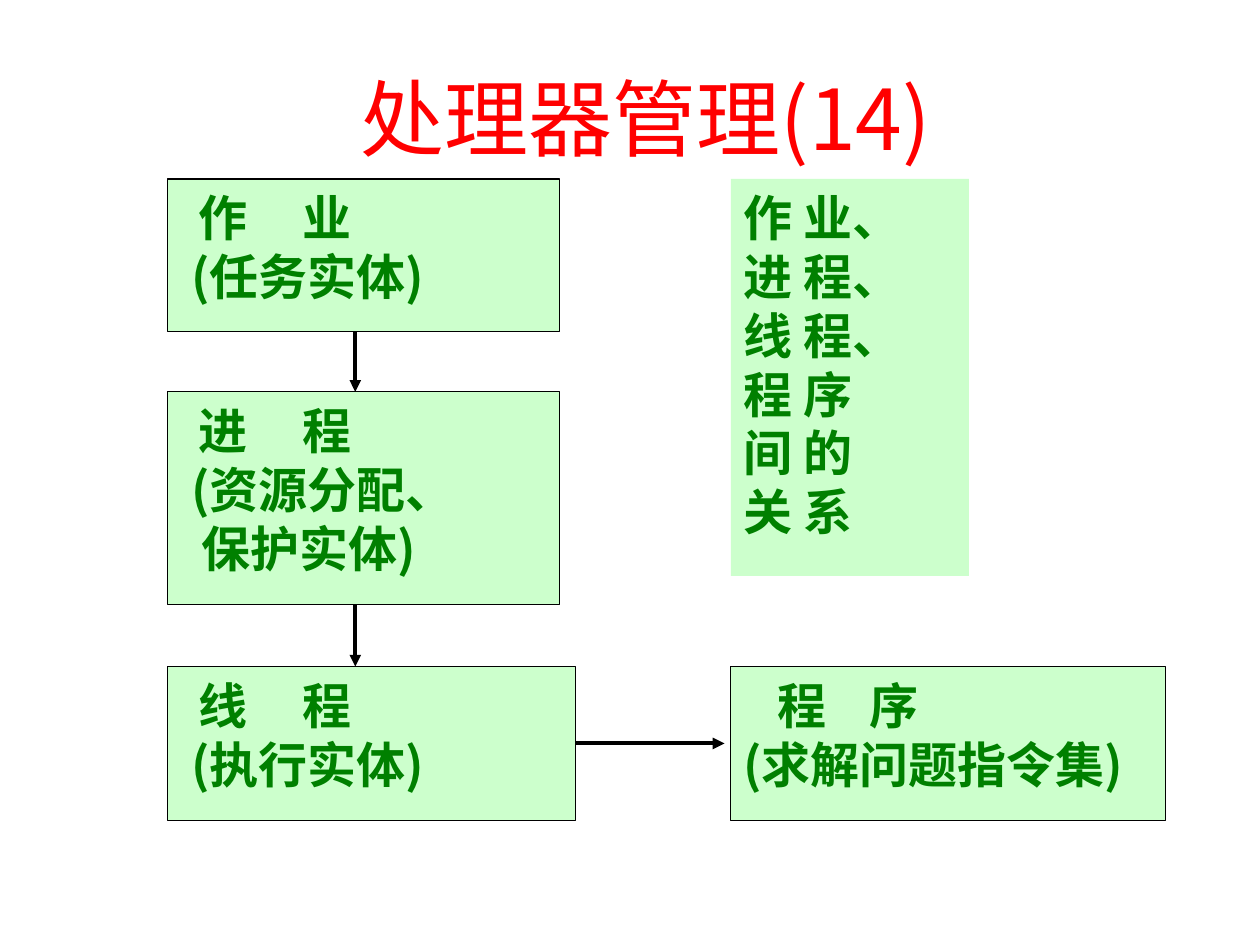
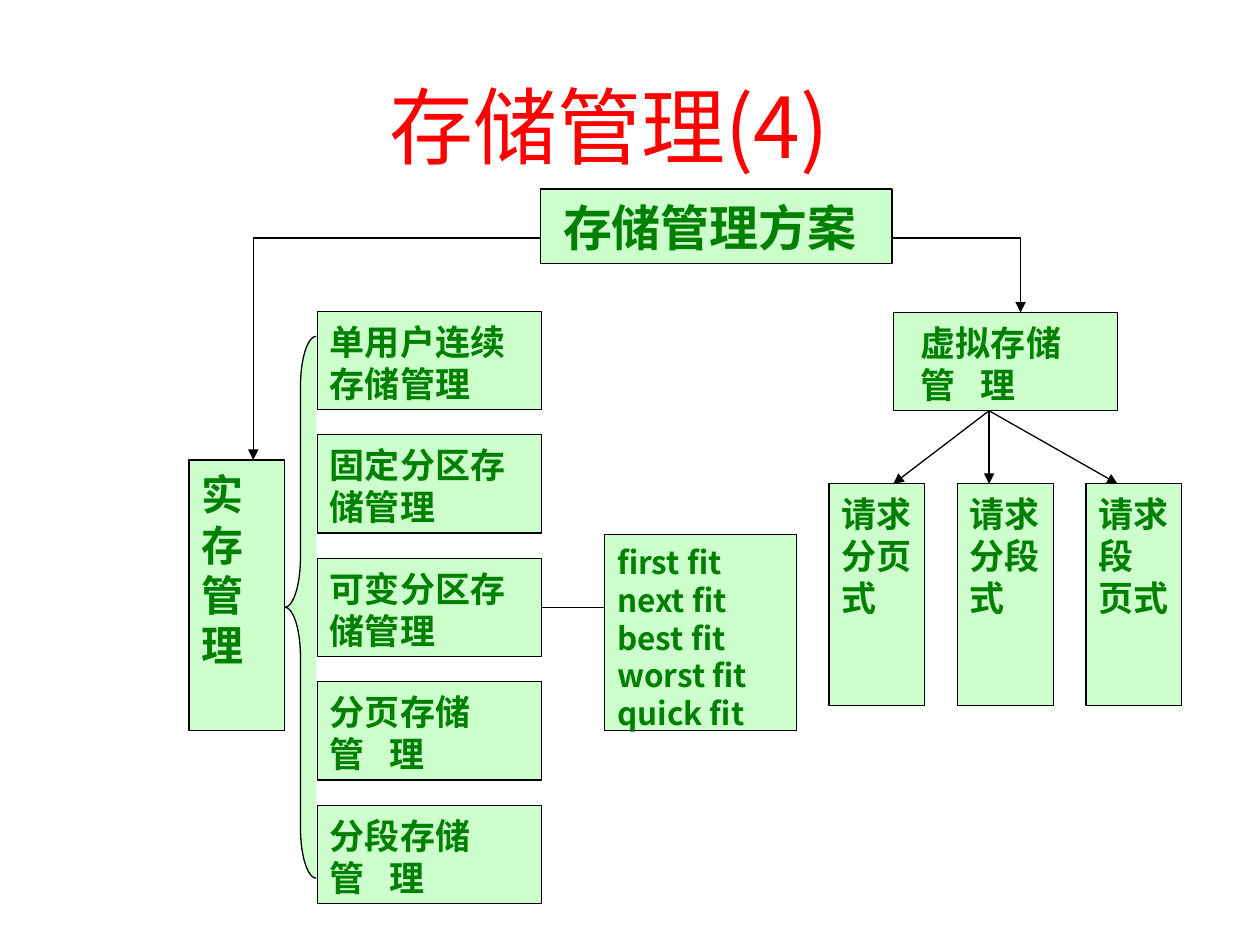
from lxml import etree
from pptx import Presentation
from pptx.dml.color import RGBColor
from pptx.enum.shapes import MSO_CONNECTOR, MSO_SHAPE
from pptx.enum.text import MSO_ANCHOR, MSO_AUTO_SIZE, PP_ALIGN
from pptx.oxml.ns import qn
from pptx.util import Inches, Pt

RED = RGBColor(0xFF, 0x00, 0x00)
GREEN = RGBColor(0x00, 0x80, 0x00)
PALE_GREEN = RGBColor(0xCC, 0xFF, 0xCC)
BLACK = RGBColor(0x00, 0x00, 0x00)
FONT = "Noto Sans CJK SC"
TITLE_ONLY = 5
RECTANGLE, LEFT_BRACE = MSO_SHAPE.RECTANGLE, MSO_SHAPE.LEFT_BRACE
STRAIGHT = MSO_CONNECTOR.STRAIGHT
TOP, MIDDLE = MSO_ANCHOR.TOP, MSO_ANCHOR.MIDDLE
LEFT, CENTER = PP_ALIGN.LEFT, PP_ALIGN.CENTER
NO_AUTOFIT = MSO_AUTO_SIZE.NONE
RIGHT_SIDE = 3
LINE_HEIGHT = 1.2


def write(frame, lines, size, color=GREEN, bold=True, align=LEFT, anchor=TOP, spacing=None):
    """Fill a frame; a line is text, or a tuple of text and its tab stops in inches."""
    frame.word_wrap = True
    frame.auto_size = NO_AUTOFIT
    frame.vertical_anchor = anchor
    for index, line in enumerate(lines):
        text, *stops = (line,) if isinstance(line, str) else line
        paragraph = frame.add_paragraph() if index else frame.paragraphs[0]
        paragraph.alignment = align
        if spacing:
            paragraph.line_spacing = Pt(size * spacing)
        if stops:
            tab_list = etree.SubElement(paragraph._p.get_or_add_pPr(), qn("a:tabLst"))
            for stop in stops:
                etree.SubElement(tab_list, qn("a:tab"), pos=str(Inches(stop)), algn="l")
        run = paragraph.add_run()
        run.text = text
        font = run.font
        font.size, font.bold, font.name = Pt(size), bold, FONT
        font.color.rgb = color
        etree.SubElement(run._r.get_or_add_rPr(), qn("a:ea"), typeface=FONT)


class Deck:
    def __init__(self):
        self.presentation = Presentation()
        self.presentation.slide_width = Inches(10)
        self.presentation.slide_height = Inches(7.5)
        self.slide = None

    def add_slide(self, title, left, top, width):
        layout = self.presentation.slide_layouts[TITLE_ONLY]
        self.slide = self.presentation.slides.add_slide(layout)
        shape = self.slide.shapes.title
        shape.left, shape.top = Inches(left), Inches(top)
        shape.width, shape.height = Inches(width), Inches(0.83)
        write(shape.text_frame, [title], 48, color=RED, bold=False, align=CENTER, anchor=MIDDLE)

    def shape(self, kind, left, top, width, height, outlined=True):
        shape = self.slide.shapes.add_shape(
            kind, Inches(left), Inches(top), Inches(width), Inches(height))
        shape.shadow.inherit = False
        shape.fill.solid()
        shape.fill.fore_color.rgb = PALE_GREEN
        if outlined:
            shape.line.color.rgb = BLACK
            shape.line.width = Pt(0.75)
        else:
            shape.line.fill.background()
        return shape

    def box(self, lines, left, top, width, height, size=20, outlined=True):
        shape = self.shape(RECTANGLE, left, top, width, height, outlined)
        shape.text_frame.margin_top = Inches(0.07)
        write(shape.text_frame, lines, size, spacing=LINE_HEIGHT)
        return shape

    def line(self, start, end, width=0.75, arrow=True, source=None):
        """Draw a line; a source box joins its start to the middle of the right side."""
        connector = self.slide.shapes.add_connector(STRAIGHT, *map(Inches, start + end))
        if source is not None:
            connector.begin_connect(source, RIGHT_SIDE)
        connector.line.color.rgb = BLACK
        connector.line.width = Pt(width)
        if arrow:
            etree.SubElement(connector.line._get_or_add_ln(), qn("a:tailEnd"), type="triangle")
        etree.SubElement(connector._element.spPr, qn("a:effectLst"))


def add_processor_slide(deck):
    deck.add_slide("处理器管理(14)", 1, 0.51, 8.25)
    name_stops = (0.15, 0.97)
    deck.box([("\t作\t业", *name_stops), ("\t(任务实体)", 0.09)],
             1.33, 1.42, 3.11, 1.21, size=28)
    deck.box([("\t进\t程", *name_stops), ("\t(资源分配、", 0.09), ("\t保护实体)", 0.17)],
             1.33, 3.11, 3.11, 1.69, size=28)
    thread = deck.box([("\t线\t程", *name_stops), ("\t(执行实体)", 0.09)],
                      1.33, 5.29, 3.24, 1.22, size=28)
    deck.box([("\t程\t序", 0.27, 1), "(求解问题指令集)"], 5.8, 5.29, 3.45, 1.22, size=28)
    deck.box(["作 业、", "进 程、", "线 程、", "程 序", "间 的", "关 系"],
             5.8, 1.42, 1.89, 3.15, size=28, outlined=False)
    for top, bottom in ((2.63, 3.11), (4.8, 5.29)):
        deck.line((2.82, top), (2.82, bottom), width=2.25)
    deck.line((4.57, 5.9), (5.75, 5.9), width=2.25, source=thread)


def add_storage_slide(deck):
    deck.add_slide("存储管理(4)", 0.67, 0.58, 8.33)
    deck.box([("\t存储管理方案", 0.08)], 4.29, 1.5, 2.79, 0.59, size=28)
    deck.box(["实", "存", "管", "理"], 1.5, 3.65, 0.76, 2.15, size=24)

    real_schemes = (
        ["单用户连续存储管理"],
        ["固定分区存储管理"],
        ["可变分区存储管理"],
        ["分页存储", ("管\t理", 0.47)],
        ["分段存储", ("管\t理", 0.47)],
    )
    scheme_boxes = [deck.box(lines, 2.52, 2.47 + 0.98 * row, 1.78, 0.78)
                    for row, lines in enumerate(real_schemes)]
    deck.box([f"{name} fit" for name in ("first", "next", "best", "worst", "quick")],
             4.8, 4.24, 1.52, 1.56, size=18)
    deck.line((4.3, 4.82), (4.8, 4.82), arrow=False, source=scheme_boxes[2])

    deck.box([("\t虚拟存储", 0.12), ("\t管\t理", 0.12, 0.59)], 7.09, 2.48, 1.78, 0.78)
    for column, lines in enumerate((["请求分页式"], ["请求分段式"], ["请求段", "页式"])):
        deck.box(lines, 6.58 + 1.02 * column, 3.84, 0.76, 1.76)
    for target in (7.09, 7.85, 8.87):
        deck.line((7.85, 3.26), (target, 3.84))

    brace = deck.shape(LEFT_BRACE, 2.26, 2.67, 0.25, 4.3)
    brace.adjustments[0] = 1.59
    brace.adjustments[1] = 0.5

    for edge, corner, bottom in ((4.29, 2.01, 3.65), (7.09, 8.1, 2.48)):
        deck.line((edge, 1.89), (corner, 1.89), arrow=False)
        deck.line((corner, 1.89), (corner, bottom))


def main():
    deck = Deck()
    add_processor_slide(deck)
    add_storage_slide(deck)
    deck.presentation.save("out.pptx")


if __name__ == "__main__":
    main()
